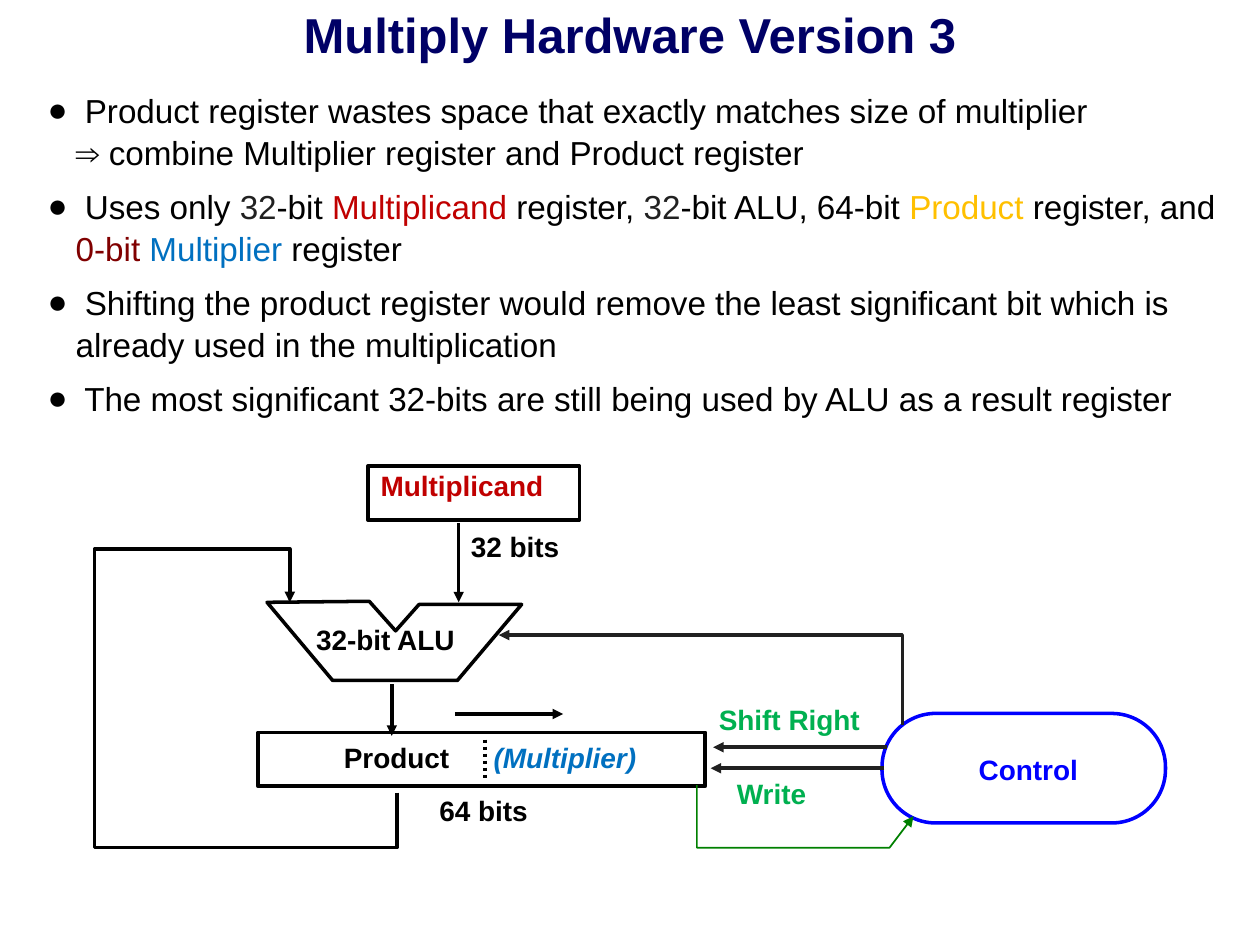
from lxml import etree
from pptx import Presentation
from pptx import util as u
from pptx.dml.color import RGBColor
from pptx.enum import dml, shapes, text
from pptx.oxml import ns

Pt = u.Pt
COLORS = {
    "navy": "000066", "black": "000000", "charcoal": "212121", "red": "C00000",
    "gold": "FFC000", "maroon": "800000", "sky": "0070C0", "green": "00B050",
    "dark green": "008000", "blue": "0000FF",
}


def style_outline(shape, color, width=2, arrow=False):
    """Give an unfilled shape or connector its line, without a shadow."""
    if hasattr(shape, "fill"):
        shape.fill.background()
        shape.shadow.inherit = False
    else:
        etree.SubElement(shape._element.spPr, ns.qn("a:effectLst"))
    shape.line.color.rgb = RGBColor.from_string(COLORS[color])
    shape.line.width = Pt(width)
    if arrow:
        line = shape.line._get_or_add_ln()
        etree.SubElement(line, ns.qn("a:tailEnd"), type="triangle")


def add_text_box(left, top, width, height, margins):
    box = page.shapes.add_textbox(Pt(left), Pt(top), Pt(width), Pt(height))
    frame = box.text_frame
    frame.margin_left = frame.margin_right = Pt(margins[0])
    frame.margin_top = frame.margin_bottom = Pt(margins[1])
    return frame


deck = Presentation()
deck.slide_width, deck.slide_height = Pt(720), Pt(540)
page = deck.slides.add_slide(deck.slide_layouts[6])

# Title
frame = add_text_box(0, 0, 720, 38, (5, 2.5))
frame.word_wrap = True
para = frame.paragraphs[0]
para.text = "Multiply Hardware Version 3"
para.alignment = text.PP_ALIGN.CENTER
para.font.name, para.font.size, para.font.bold = "Arial", Pt(28), True
para.font.color.rgb = RGBColor.from_string(COLORS["navy"])

# Bullets: each is a list of (words, colour); None is a line break
BULLETS = [
    [(" Product register wastes space that exactly matches size of multiplier", "black"),
     None,
     ("⇒ combine Multiplier register and Product register", "black")],
    [(" Uses only ", "black"), ("32", "charcoal"), ("-bit ", "black"),
     ("Multiplicand", "red"), (" register, ", "black"), ("32", "charcoal"),
     ("-bit ALU, 64-bit ", "black"), ("Product", "gold"),
     (" register, and ", "black"), ("0-bit ", "maroon"), ("Multiplier", "sky"),
     (" register", "black")],
    [(" Shifting the product register would remove the least significant bit "
      "which is already used in the multiplication", "black")],
    [(" The most significant 32-bits are still being used by ALU as a result register",
      "black")],
]
frame = add_text_box(22.3, 48.2, 679, 199.4, (5, 2.5))
frame.word_wrap = True
for index, bullet in enumerate(BULLETS):
    para = frame.paragraphs[0] if index == 0 else frame.add_paragraph()
    para.line_spacing = 1.05
    para.space_before = Pt(7 if index else 0)
    properties = para._p.get_or_add_pPr()
    properties.set("marL", str(Pt(16)))
    properties.set("indent", str(Pt(-16)))
    bullet_color = etree.SubElement(properties, ns.qn("a:buClr"))
    etree.SubElement(bullet_color, ns.qn("a:srgbClr"), val=COLORS["black"])
    etree.SubElement(properties, ns.qn("a:buFont"), typeface="Arial")
    etree.SubElement(properties, ns.qn("a:buChar"), char="●")
    para.font.name, para.font.size = "Arial", Pt(19)
    for part in bullet:
        if part is None:
            para.add_line_break()
            continue
        span = para.add_run()
        span.text = part[0]
        span.font.color.rgb = RGBColor.from_string(COLORS[part[1]])

# Registers and control unit
for kind, left, top, width, height, color in [
    (shapes.MSO_SHAPE.RECTANGLE, 147.4, 418.5, 255.6, 30.8, "black"),
    (shapes.MSO_SHAPE.RECTANGLE, 210.2, 266.4, 121, 30.8, "black"),
    (shapes.MSO_SHAPE.ROUNDED_RECTANGLE, 504, 407.7, 162, 62.6, "blue"),
]:
    block = page.shapes.add_shape(kind, Pt(left), Pt(top), Pt(width), Pt(height))
    style_outline(block, color)
block.adjustments[0] = 0.49

# ALU outline and bent wires
for points, color, width, closed in [
    ([(152.6, 344.2), (190.1, 388.8), (261.4, 388.8), (298.1, 345.4),
      (239.5, 345.4), (226.1, 360.5), (211, 343.6)], "black", 2, True),
    ([(515.6, 414), (515.6, 362.9), (285, 362.9)], "charcoal", 2, False),
    ([(226.8, 452.9), (226.8, 484.4), (54, 484.4), (54, 313.7), (165.6, 313.7),
      (165.6, 344.2)], "black", 2, False),
    ([(398.2, 448.6), (398.2, 484.4), (508.3, 484.4), (522, 466.4)],
     "dark green", 1, False),
]:
    corners = [(Pt(x), Pt(y)) for x, y in points]
    builder = page.shapes.build_freeform(*corners[0], scale=1.0)
    builder.add_line_segments(corners[1:], close=closed)
    style_outline(builder.convert_to_shape(), color, width, arrow=not closed)

# Straight arrows
for x1, y1, x2, y2, color in [
    (262.1, 298.8, 262.1, 344.2, "black"),
    (223.9, 391, 223.9, 420.5, "black"),
    (259.9, 408, 321.8, 408, "black"),
    (506.9, 427, 407.5, 427, "charcoal"),
    (505.4, 439, 406.1, 439, "charcoal"),
]:
    arrow = page.shapes.add_connector(
        shapes.MSO_CONNECTOR.STRAIGHT, Pt(x1), Pt(y1), Pt(x2), Pt(y2))
    style_outline(arrow, color, arrow=True)

divider = page.shapes.add_connector(
    shapes.MSO_CONNECTOR.STRAIGHT, Pt(277.2), Pt(422.6), Pt(277.2), Pt(445))
style_outline(divider, "black")
divider.line.dash_style = dml.MSO_LINE.ROUND_DOT

# Labels
for words, left, top, width, color in [
    ("Product", 189.4, 419.4, 76, "black"),
    ("(Multiplier)", 275, 419.8, 97, "sky"),
    ("Multiplicand", 210.4, 264.4, 110, "red"),
    ("32-bit ALU", 173.5, 352, 95, "black"),
    ("Write", 414, 440, 55, "green"),
    ("Control", 552.2, 426.6, 72, "blue"),
    ("32 bits", 262, 299, 66, "black"),
    ("64 bits", 244, 450, 66, "black"),
    ("Shift Right", 403.7, 398.2, 97, "green"),
]:
    frame = add_text_box(left, top, width, 26.6, (7.2, 3.6))
    para = frame.paragraphs[0]
    para.text = words
    para.font.name, para.font.size, para.font.bold = "Arial", Pt(16), True
    para.font.italic = words == "(Multiplier)"
    para.font.color.rgb = RGBColor.from_string(COLORS[color])
    frame.word_wrap = True

deck.save("out.pptx")
